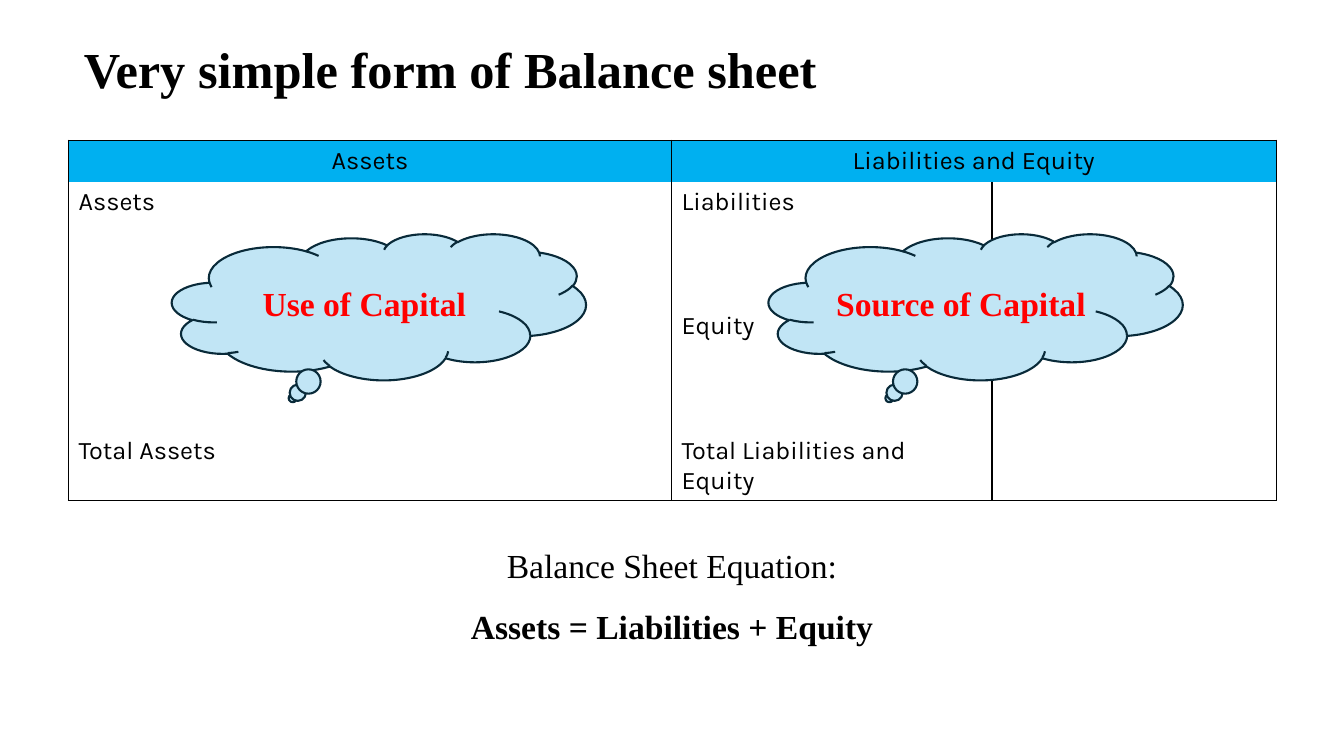
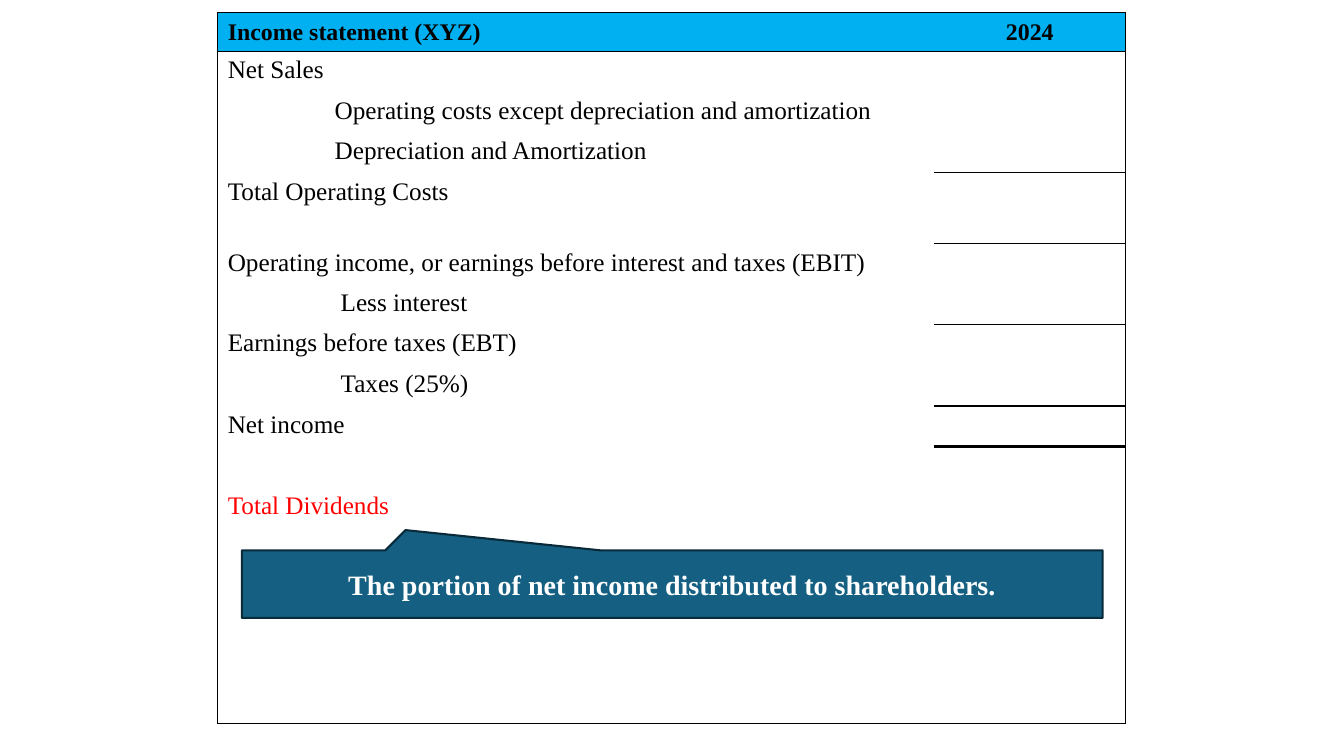
from lxml import etree
from pptx import Presentation
from pptx.dml.color import RGBColor
from pptx.enum.shapes import MSO_SHAPE
from pptx.enum.text import MSO_ANCHOR, PP_ALIGN
from pptx.oxml.ns import qn
from pptx.util import Inches, Pt

LEFT, MID = PP_ALIGN.LEFT, PP_ALIGN.CENTER
CENTRE = MSO_ANCHOR.MIDDLE
CLOUD, WEDGE = MSO_SHAPE.CLOUD_CALLOUT, MSO_SHAPE.RECTANGULAR_CALLOUT


class Theme:
    ink, red, white = "000000", "FF0000", "FFFFFF"
    head, cloud, note, edge = "00B0F0", "C1E5F5", "156082", "092A39"
    serif, sans = "Times New Roman", "Karla"
    title, lead, call, body, small = 36, 24, 20, 18, 17
    thin, line, thick = 1, 1.5, 2.25


deck = Presentation()
deck.slide_width, deck.slide_height = Inches(13.33), Inches(7.5)
blank = deck.slide_layouts[6]

# Places are percent of the slide's width and height
COL, ROW = deck.slide_width / 100, deck.slide_height / 100


def write(par, text, size, font=Theme.serif, tint=Theme.ink, bold=False, align=LEFT):
    par.alignment = align
    run = par.add_run()
    run.text = text
    run.font.size, run.font.name, run.font.bold = Pt(size), font, bold
    run.font.color.rgb = RGBColor.from_string(tint)


def grid(page, x, y, cols, rows, spans, down, across):
    """Add a plain table; down and across map (row, column) to a line width."""
    frame = page.shapes.add_table(
        len(rows), len(cols), int(x * COL), int(y * ROW),
        int(sum(cols) * COL), int(sum(rows) * ROW))
    table = frame.table
    table.first_row = table.horz_banding = False
    for col, wide in zip(table.columns, cols):
        col.width = int(wide * COL)
    for row, high in zip(table.rows, rows):
        row.height = int(high * ROW)
    for first, last in spans:
        table.cell(0, first).merge(table.cell(0, last))
    for r in range(len(rows)):
        for c in range(len(cols)):
            cell = table.cell(r, c)
            if r == 0:
                cell.fill.solid()
                cell.fill.fore_color.rgb = RGBColor.from_string(Theme.head)
                cell.vertical_anchor = CENTRE
            else:
                cell.fill.background()
            # Empty cells must not stretch their row
            cell.margin_top = cell.margin_bottom = 0
            sides = {"lnL": down.get((r, c)),
                     "lnR": down.get((r, c + cell.span_width)),
                     "lnT": across.get((r, c)),
                     "lnB": across.get((r + 1, c))}
            prop = cell._tc.get_or_add_tcPr()
            for spot, (tag, wide) in enumerate(sides.items()):
                line = etree.Element(qn("a:" + tag))
                prop.insert(spot, line)
                if wide:
                    line.set("w", str(Pt(wide)))
                    fill = etree.SubElement(line, qn("a:solidFill"))
                    etree.SubElement(fill, qn("a:srgbClr"), val=Theme.ink)
                else:
                    etree.SubElement(line, qn("a:noFill"))
    return table


# Slide 1: balance sheet
sheet = deck.slides.add_slide(blank)
cols = [22.43, 22.43, 23.85, 21.15]
rows = [5.51] * 7 + [9]
down = {(r, c): Theme.thin for r in range(8) for c in (0, 2, 3, 4)}
del down[0, 3]
across = {(r, c): Theme.thin for r in (0, 8) for c in range(4)}
table = grid(sheet, 5.1, 18.55, cols, rows, [(0, 1), (2, 3)], down, across)
labels = [(0, 0, "Assets"), (0, 2, "Liabilities and Equity"),
          (1, 0, "Assets"), (1, 2, "Liabilities"), (4, 2, "Equity"),
          (7, 0, "Total Assets"), (7, 2, "Total Liabilities and Equity")]
for r, c, text in labels:
    cell = table.cell(r, c)
    cell.margin_top = cell.margin_bottom = Inches(0.05)
    write(cell.text_frame.paragraphs[0], text, Theme.body, Theme.sans,
          align=LEFT if r else MID)

# Title and equation
texts = [
    (5.5, 5.33, 89, 10, 0.9, LEFT,
     [("Very simple form of Balance sheet", Theme.title, True)]),
    (12.8, 68.8, 74.4, 16.5, 1.5, MID,
     [("Balance Sheet Equation:", Theme.lead, False),
      ("Assets = Liabilities + Equity", Theme.lead, True)]),
]
for x, y, w, h, gap, align, lines in texts:
    box = sheet.shapes.add_textbox(
        int(x * COL), int(y * ROW), int(w * COL), int(h * ROW)).text_frame
    box.word_wrap = True
    for n, (text, size, bold) in enumerate(lines):
        par = box.add_paragraph() if n else box.paragraphs[0]
        par.line_spacing = gap
        write(par, text, size, bold=bold, align=align)

# Slide 2: income statement
income = deck.slides.add_slide(blank)
rows = [5.1] + [5.33] * 3 + [9.4] + [5.33] * 3 + [5.47] + [5.33] * 3 + [5.2] * 5
down = {(r, c): Theme.thin for r in range(17) for c in (0, 2)}
across = {(r, c): Theme.thin for r in (0, 1, 17) for c in (0, 1)}
across.update({(r, 1): Theme.thin for r in (4, 5, 7, 9)})
across[10, 1] = Theme.thick
table = grid(income, 16.2, 1.7, [53.3, 14.25], rows, [], down, across)
for c, text, align in ((0, "Income statement (XYZ)", LEFT), (1, "2024", MID)):
    write(table.cell(0, c).text_frame.paragraphs[0], text, Theme.small,
          bold=True, align=align)
items = [
    (1, 0, "Net Sales"),
    (2, 1.06, "Operating costs except depreciation and amortization"),
    (3, 1.06, "Depreciation and Amortization"),
    (4, 0, "Total Operating Costs"),
    (5, 0, "Operating income, or earnings before interest and taxes (EBIT)"),
    (6, 1.12, "Less interest"),
    (7, 0, "Earnings before taxes (EBT)"),
    (8, 1.12, "Taxes (25%)"),
    (9, 0, "Net income"),
    (11, 0, "Total Dividends"),
]
for r, inset, text in items:
    cell = table.cell(r, 0)
    cell.margin_top = cell.margin_bottom = Inches(0.05)
    cell.margin_left = Inches(0.1 + inset)
    write(cell.text_frame.paragraphs[0], text, Theme.body,
          tint=Theme.red if r == 11 else Theme.ink)

# Callouts on both slides
calls = [
    (sheet, CLOUD, 12.8, 30.93, 30.8, 19.33, Theme.cloud, Theme.red,
     Theme.lead, "Use of Capital"),
    (sheet, CLOUD, 57.2, 30.93, 30.8, 19.33, Theme.cloud, Theme.red,
     Theme.lead, "Source of Capital"),
    (income, WEDGE, 18, 72.8, 64.05, 8.93, Theme.note, Theme.white,
     Theme.call, "The portion of net income distributed to shareholders."),
]
for page, kind, x, y, w, h, fill, tint, size, text in calls:
    shape = page.shapes.add_shape(
        kind, int(x * COL), int(y * ROW), int(w * COL), int(h * ROW))
    shape.shadow.inherit = False
    shape.fill.solid()
    shape.fill.fore_color.rgb = RGBColor.from_string(fill)
    shape.line.color.rgb = RGBColor.from_string(Theme.edge)
    shape.line.width = Pt(Theme.line)
    if kind == WEDGE:
        shape.adjustments[0], shape.adjustments[1] = -0.31, -0.8
    shape.text_frame.word_wrap = True
    shape.text_frame.vertical_anchor = CENTRE
    write(shape.text_frame.paragraphs[0], text, size, tint=tint, bold=True, align=MID)

deck.save("out.pptx")
